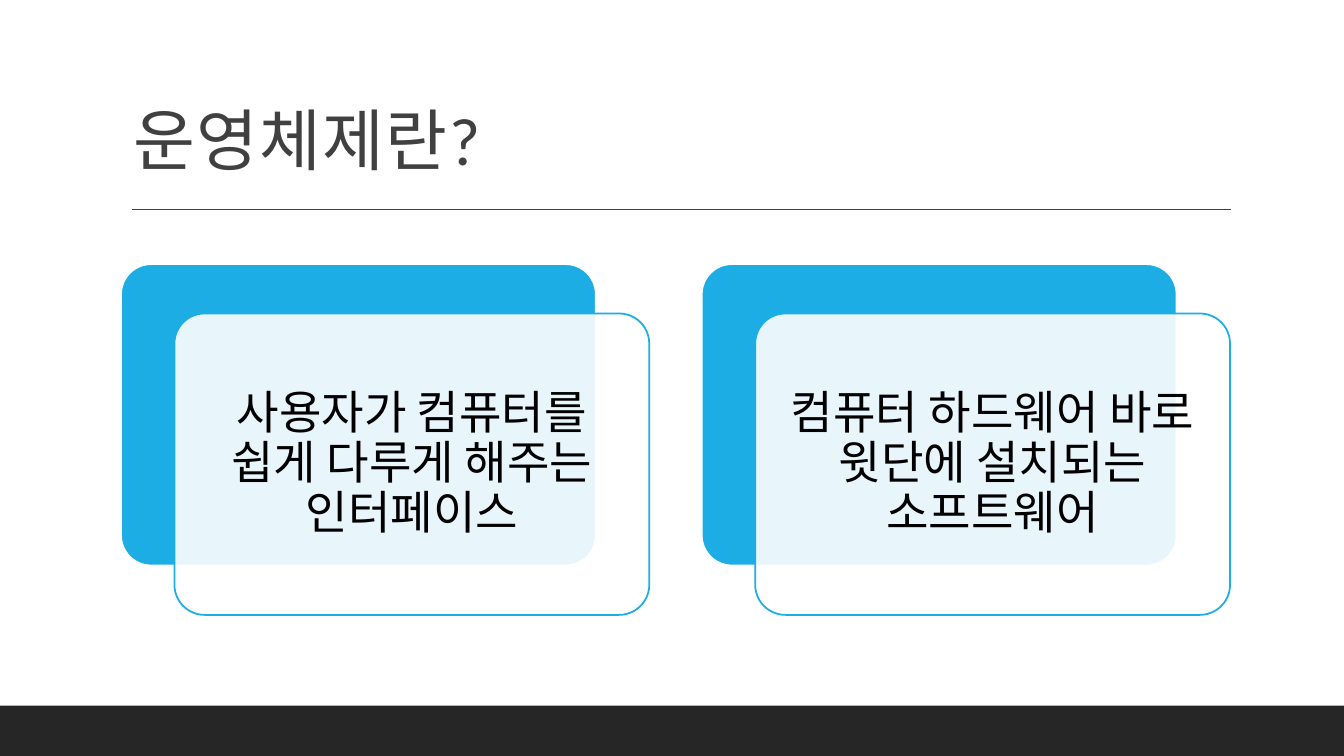
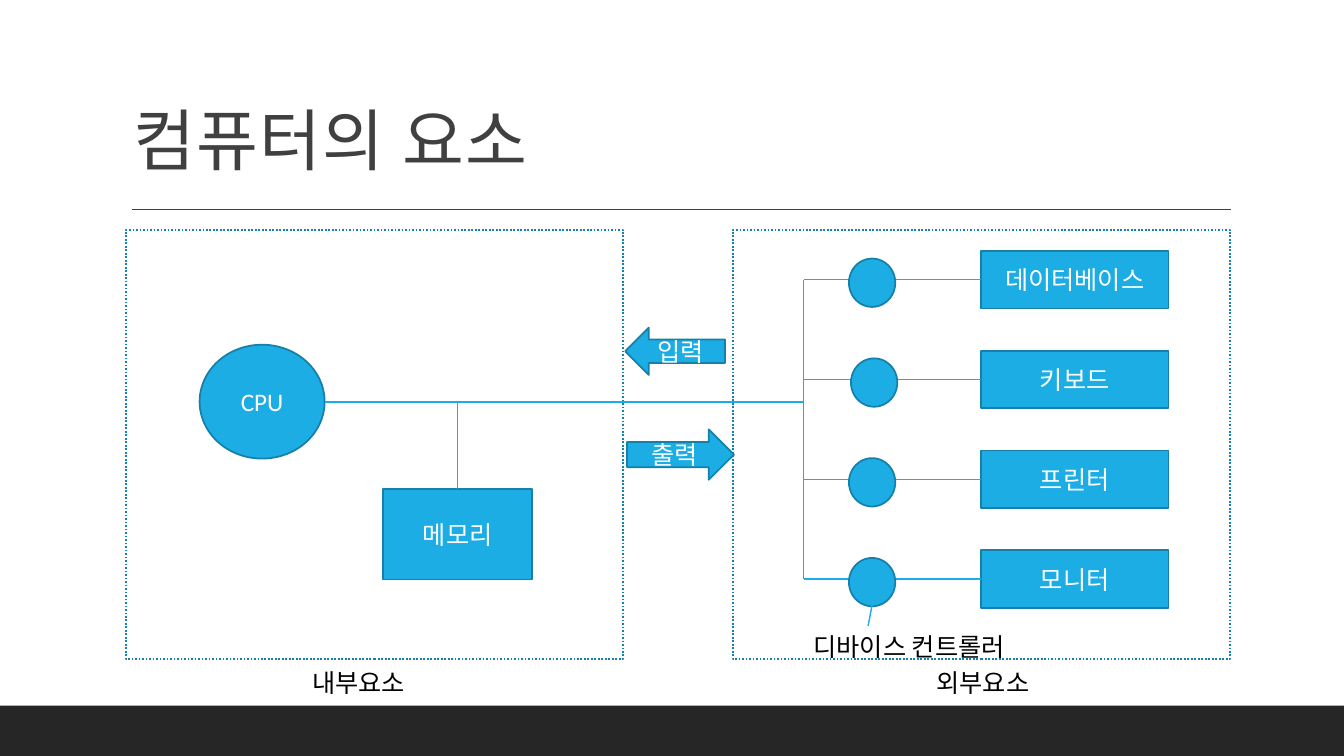
from lxml import etree
from pptx import Presentation, util as u
from pptx.dml.color import RGBColor
from pptx.enum import dml, shapes, text
from pptx.oxml.ns import qn

IN = u.Inches
KIND = shapes.MSO_SHAPE
MID = text.MSO_ANCHOR.MIDDLE
LOW = text.MSO_ANCHOR.BOTTOM
LEFT = text.PP_ALIGN.LEFT
MAIN = text.PP_ALIGN.CENTER


def color(code):
    return RGBColor.from_string(code)


def write(shape, words, size=18, ink="FFFFFF", align=MAIN, anchor=MID,
          pad=None, lead=None, track=None):
    frame = shape.text_frame
    frame.word_wrap = True
    frame.vertical_anchor = anchor
    if pad is not None:
        frame.margin_left = frame.margin_right = IN(pad)
        frame.margin_top = frame.margin_bottom = IN(pad)
    para = frame.paragraphs[0]
    para.alignment = align
    if lead:
        para.line_spacing = lead
    run = para.add_run()
    run.text = words
    font = run.font
    font.name = "Calibri"
    font.size = u.Pt(size)
    font.color.rgb = color(ink)
    if track:
        font._element.set("spc", str(track * 100))


class Deck:
    BLUE, EDGE, GRAY = "1CADE4", "1580A9", "404040"
    DARK, WHITE, BLACK = "262626", "FFFFFF", "000000"

    def __init__(self):
        self.file = Presentation()
        self.file.slide_width = IN(13.33)
        self.file.slide_height = IN(7.5)

    def page(self, title):
        self.slide = self.file.slides.add_slide(self.file.slide_layouts[6])
        self.shape(KIND.RECTANGLE, 0, 7, 13.33, 0.5, fill=self.DARK, edge=None)
        self.line(1.31, 2.08, 12.21, 2.08, self.GRAY)
        self.label(title, 1.2, 0.31, 11, 1.59, size=48, ink=self.GRAY,
                   anchor=LOW, pad=0.12, lead=1.05, track=1)

    def shape(self, kind, x, y, w, h, words=None, fill=BLUE, edge=EDGE,
              alpha=None, dash=None, round=None, **style):
        item = self.slide.shapes.add_shape(kind, IN(x), IN(y), IN(w), IN(h))
        item.shadow.inherit = False
        if round is not None:
            item.adjustments[0] = round
        if fill:
            item.fill.solid()
            item.fill.fore_color.rgb = color(fill)
        else:
            item.fill.background()
        if alpha:
            tint = item._element.spPr.find(qn("a:solidFill"))[0]
            etree.SubElement(tint, qn("a:alpha")).set("val", str(alpha * 1000))
        if edge:
            item.line.color.rgb = color(edge)
            item.line.width = u.Pt(1.25)
            if dash:
                item.line.dash_style = dash
        else:
            item.line.fill.background()
        if words:
            write(item, words, **style)
        return item

    def label(self, words, x, y, w, h, ink=BLACK, anchor=text.MSO_ANCHOR.TOP, **style):
        item = self.slide.shapes.add_textbox(IN(x), IN(y), IN(w), IN(h))
        write(item, words, ink=ink, align=LEFT, anchor=anchor, **style)

    def line(self, x1, y1, x2, y2, ink=BLUE, end=None, side=0):
        item = self.slide.shapes.add_connector(
            shapes.MSO_CONNECTOR.STRAIGHT, IN(x1), IN(y1), IN(x2), IN(y2))
        item.line.color.rgb = color(ink)
        item.line.width = u.Pt(1)
        etree.SubElement(item._element.spPr, qn("a:effectLst"))
        if end is not None:
            item.end_connect(end, side)

    def card(self, words, x, y=2.62, w=4.71, h=2.99):
        self.shape(KIND.ROUNDED_RECTANGLE, x, y, w, h, edge=self.WHITE, round=0.1)
        self.shape(KIND.ROUNDED_RECTANGLE, x + 0.53, y + 0.49, w, h, words,
                   fill=self.WHITE, edge=self.BLUE, alpha=90, round=0.1,
                   size=33, ink=self.BLACK, pad=0.14, lead=0.9)

    def zone(self, words, x, left):
        self.shape(KIND.RECTANGLE, x, 2.28, 4.93, 4.26, fill=None,
                   dash=dml.MSO_LINE.ROUND_DOT)
        self.label(words, left, 6.57, 1.94, 0.4)

    def device(self, words, y, bus, dot):
        mid = y + 0.285
        box = self.shape(KIND.RECTANGLE, 9.73, y, 1.86, 0.57, words)
        self.line(bus, mid, 9.73, mid, end=box, side=1)
        self.shape(KIND.OVAL, dot, mid - 0.21, 0.46, 0.48)


def define(deck):
    deck.page("운영체제란?")
    cards = ("사용자가 컴퓨터를 쉽게 다루게 해주는 인터페이스",
             "컴퓨터 하드웨어 바로 윗단에 설치되는 소프트웨어")
    for i, words in enumerate(cards):
        deck.card(words, 1.2 + 5.76 * i)


def parts(deck):
    deck.page("컴퓨터의 요소")
    bus, trunk, top, step = 7.97, 3.99, 2.49, 0.99
    deck.zone("내부요소", 1.25, 3)
    deck.zone("외부요소", 7.27, 9.19)

    deck.shape(KIND.OVAL, 1.98, 3.42, 1.24, 1.13, "CPU")
    memory = deck.shape(KIND.RECTANGLE, 3.8, 4.85, 1.48, 0.9, "메모리")
    deck.line(3.22, trunk, bus, trunk)
    deck.line(4.54, trunk, 4.54, 4.85, end=memory)
    deck.shape(KIND.LEFT_ARROW, 6.2, 3.25, 0.99, 0.47, "입력")
    deck.shape(KIND.RIGHT_ARROW, 6.22, 4.26, 1.06, 0.5, "출력")

    names = ("데이터베이스", "키보드", "프린터", "모니터")
    first = top + 0.285
    deck.line(bus, first, bus, first + step * (len(names) - 1))
    for i, words in enumerate(names):
        deck.device(words, top + step * i, bus, 8.44 if i == 1 else 8.42)
    deck.label("디바이스 컨트롤러", 7.97, 6.21, 3.16, 0.4)
    deck.line(8.65, 6, 8.61, 6.21)


def main():
    deck = Deck()
    define(deck)
    parts(deck)
    deck.file.save("out.pptx")


if __name__ == "__main__":
    main()
